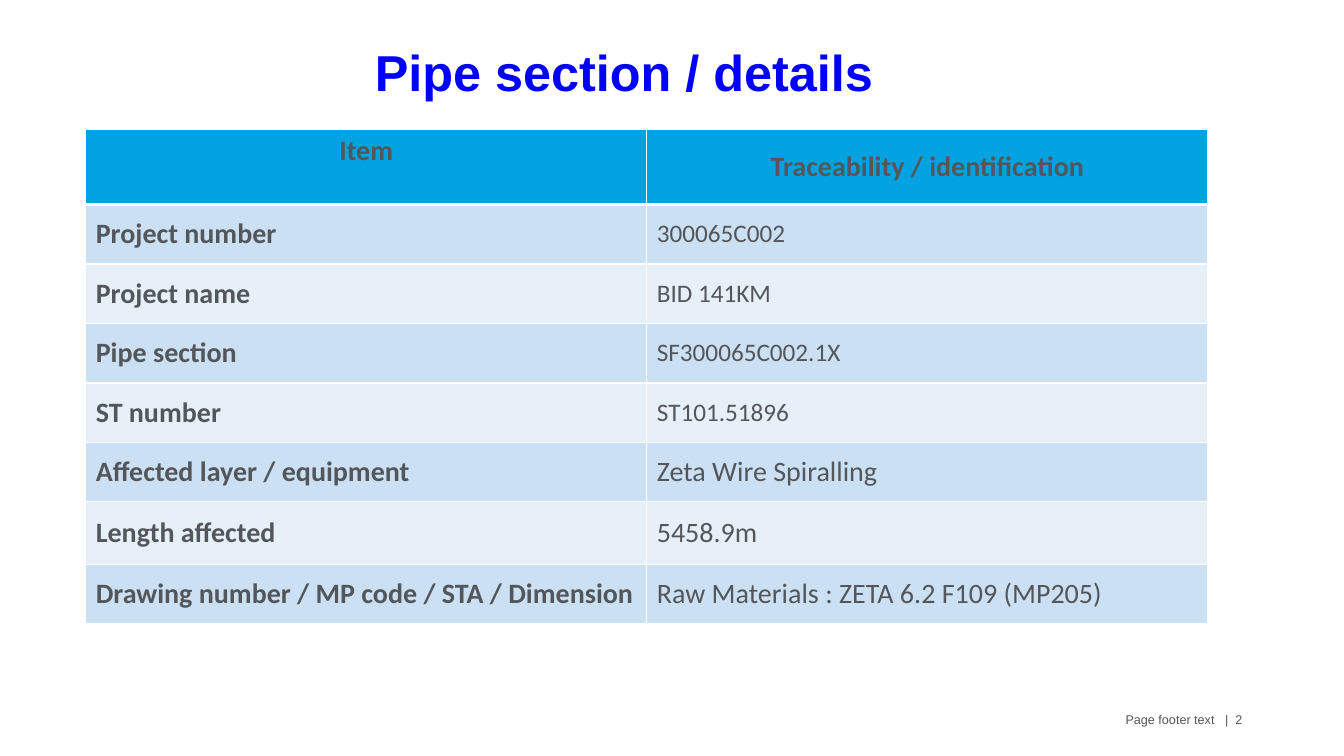
from dataclasses import dataclass

from lxml import etree
from pptx import Presentation
from pptx import util as u
from pptx.dml import color
from pptx.enum import text
from pptx.oxml import ns


@dataclass(frozen=True)
class Theme:
    title: str = "0000FF"
    ink: str = "53565A"
    header: str = "00A3E0"
    bands: tuple = ("CCE0F3", "E7F0F9")
    rule: str = "FFFFFF"
    title_font: str = "Arial"
    table_font: str = "Calibri"
    title_size: int = 36
    label_size: int = 20
    code_size: int = 18
    footer_size: int = 9


THEME = Theme()
LEFT, CENTER, RIGHT = text.PP_ALIGN.LEFT, text.PP_ALIGN.CENTER, text.PP_ALIGN.RIGHT
TOP, MIDDLE = text.MSO_ANCHOR.TOP, text.MSO_ANCHOR.MIDDLE

HEADINGS = ("Item", "Traceability / identification")
# Label, value, value size, row height
DETAILS = [
    ("Project number", "300065C002", THEME.code_size, 0.59),
    ("Project name", "BID 141KM", THEME.code_size, 0.59),
    ("Pipe section", "SF300065C002.1X", THEME.code_size, 0.59),
    ("ST number", "ST101.51896", THEME.code_size, 0.59),
    ("Affected layer / equipment", "Zeta Wire Spiralling", THEME.label_size, 0.59),
    ("Length affected", "5458.9m", THEME.label_size, 0.62),
    ("Drawing number / MP code / STA / Dimension",
     "Raw Materials : ZETA 6.2 F109 (MP205)", THEME.label_size, 0.59),
]
HEADER_HEIGHT = 0.75


def write(tf, words, font, size, ink, align=LEFT, bold=False):
    p = tf.paragraphs[0]
    p.alignment = align
    r = p.add_run()
    r.text = words
    r.font.name = font
    r.font.size = u.Pt(size)
    r.font.bold = bold
    r.font.color.rgb = color.RGBColor.from_string(ink)


def add_label(s, box, words, size, ink, align, anchor, bold=False):
    tf = s.shapes.add_textbox(*map(u.Inches, box)).text_frame
    tf.word_wrap = True
    tf.vertical_anchor = anchor
    write(tf, words, THEME.title_font, size, ink, align, bold)


def set_borders(cell, top, bottom):
    """Rule the four sides of a cell; widths are in points."""
    tc_pr = cell._tc.get_or_add_tcPr()
    sides = (("lnL", 1), ("lnR", 1), ("lnT", top), ("lnB", bottom))
    for i, (side, width) in enumerate(sides):
        ln = etree.Element(ns.qn(f"a:{side}"), w=str(u.Pt(width)))
        fill = etree.SubElement(ln, ns.qn("a:solidFill"))
        etree.SubElement(fill, ns.qn("a:srgbClr"), val=THEME.rule)
        tc_pr.insert(i, ln)


def fill_cell(cell, words, fill, size, align, anchor, bold):
    cell.fill.solid()
    cell.fill.fore_color.rgb = color.RGBColor.from_string(fill)
    cell.vertical_anchor = anchor
    write(cell.text_frame, words, THEME.table_font, size, THEME.ink, align, bold)


def add_details_table(s, left, top, width):
    heights = [HEADER_HEIGHT] + [row[-1] for row in DETAILS]
    frame = s.shapes.add_table(
        len(heights), len(HEADINGS),
        *map(u.Inches, (left, top, width, sum(heights))))
    table = frame.table
    table.horz_banding = False
    for column in table.columns:
        column.width = u.Inches(width / len(HEADINGS))
    for row, height in zip(table.rows, heights):
        row.height = u.Inches(height)

    # Header row
    for i, (heading, anchor) in enumerate(zip(HEADINGS, (TOP, MIDDLE))):
        fill_cell(table.cell(0, i), heading, THEME.header,
                  THEME.label_size, CENTER, anchor, True)

    # Detail rows
    for i, (label, value, size, _) in enumerate(DETAILS):
        band = THEME.bands[i % 2]
        fill_cell(table.cell(i + 1, 0), label, band,
                  THEME.label_size, LEFT, MIDDLE, True)
        fill_cell(table.cell(i + 1, 1), value, band, size, LEFT, MIDDLE, False)

    # A heavier rule divides the header from the details
    for i, row in enumerate(table.rows):
        for cell in row.cells:
            set_borders(cell, top=3 if i == 1 else 1, bottom=3 if i == 0 else 1)


def main():
    prs = Presentation()
    prs.slide_width, prs.slide_height = u.Inches(13.33), u.Inches(7.5)
    s = prs.slides.add_slide(prs.slide_layouts[6])
    # Footer, title and table
    add_label(s, (9.12, 7.01, 3.3, 0.4), "Page footer text\u00a0\u00a0 |\u00a0 2".replace("\u00a0", " "),
              THEME.footer_size, THEME.ink, RIGHT, TOP)
    add_label(s, (2.82, 0.48, 6.74, 0.45), "Pipe section / details",
              THEME.title_size, THEME.title, CENTER, MIDDLE, bold=True)
    add_details_table(s, 0.85, 1.28, 11.13)
    prs.save("out.pptx")


if __name__ == "__main__":
    main()
